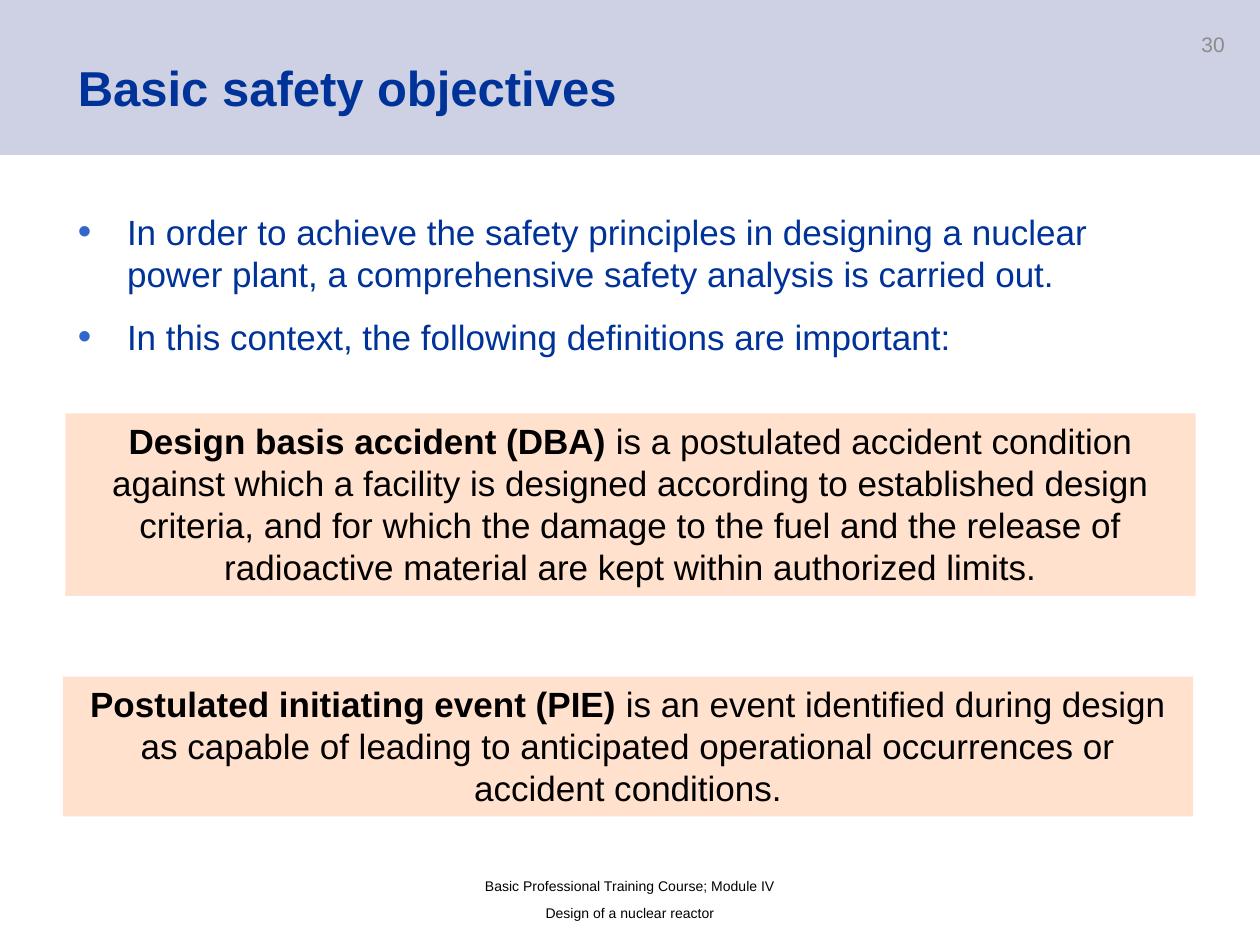
from dataclasses import dataclass

from lxml import etree
from pptx import Presentation
from pptx import util as u
from pptx.dml import color
from pptx.enum import shapes, text
from pptx.oxml import ns


@dataclass(frozen=True)
class Theme:
    font: str = "Arial"
    band: str = "CED1E4"
    navy: str = "003399"
    bullet: str = "3366CC"
    panel: str = "FFE1CD"
    black: str = "000000"
    grey: str = "8C8C8C"
    title_size: int = 28
    body_size: int = 20
    number_size: int = 12
    footer_size: int = 8


THEME = Theme()
ALIGN = text.PP_ALIGN
ANCHOR = text.MSO_ANCHOR


def style_runs(paragraph, size, ink, bold=False):
    for run in paragraph.runs:
        run.font.name = THEME.font
        run.font.size = u.Pt(size)
        run.font.bold = bold
        run.font.color.rgb = color.RGBColor.from_string(ink)


def add_panel(slide, box, fill):
    panel = slide.shapes.add_shape(
        shapes.MSO_SHAPE.RECTANGLE, *map(u.Inches, box))
    panel.shadow.inherit = False
    panel.fill.solid()
    panel.fill.fore_color.rgb = color.RGBColor.from_string(fill)
    panel.line.fill.background()
    return panel


def add_text(slide, box, lines, size, ink, align=ALIGN.LEFT,
             anchor=ANCHOR.TOP, bold=False):
    frame = slide.shapes.add_textbox(*map(u.Inches, box)).text_frame
    frame.word_wrap = True
    frame.vertical_anchor = anchor
    frame.text = "\n".join(lines)
    for paragraph in frame.paragraphs:
        paragraph.alignment = align
        style_runs(paragraph, size, ink, bold)
    return frame


def add_bullet(paragraph, indent):
    properties = paragraph._p.get_or_add_pPr()
    properties.set("marL", str(u.Inches(indent)))
    properties.set("indent", str(u.Inches(-indent)))
    bullet_color = etree.SubElement(properties, ns.qn("a:buClr"))
    etree.SubElement(bullet_color, ns.qn("a:srgbClr"), val=THEME.bullet)
    etree.SubElement(properties, ns.qn("a:buSzPct"), val="110000")
    etree.SubElement(properties, ns.qn("a:buFont"), typeface=THEME.font)
    etree.SubElement(properties, ns.qn("a:buChar"), char="•")


def add_header(slide, box, title, number):
    left, top, width, height = box
    add_panel(slide, box, THEME.band)
    heading = add_text(slide, (left + 0.52, top + 0.21, 8.97, height - 0.21),
                       [title], THEME.title_size, THEME.navy,
                       anchor=ANCHOR.MIDDLE, bold=True)
    heading.paragraphs[0].line_spacing = 0.9
    page = add_text(slide, (left + width - 0.88, top + 0.21, 0.64, 0.4),
                    [number], THEME.number_size, THEME.grey, ALIGN.RIGHT)
    page.margin_left = page.margin_right = u.Inches(0.04)
    page.margin_top = page.margin_bottom = u.Inches(0.04)


def add_body(slide, box, points):
    body = add_text(slide, box, points, THEME.body_size, THEME.navy)
    for paragraph in body.paragraphs:
        paragraph.space_before = paragraph.space_after = u.Pt(6)
        add_bullet(paragraph, 0.39)


def add_definition(slide, box, term, meaning):
    frame = add_panel(slide, box, THEME.panel).text_frame
    frame.word_wrap = True
    frame.auto_size = text.MSO_AUTO_SIZE.SHAPE_TO_FIT_TEXT
    frame.vertical_anchor = ANCHOR.TOP
    paragraph = frame.paragraphs[0]
    paragraph.text = term
    paragraph.add_run().text = meaning
    paragraph.alignment = ALIGN.CENTER
    style_runs(paragraph, THEME.body_size, THEME.black)
    paragraph.runs[0].font.bold = True


def add_footer(slide, box, lines):
    footer = add_text(slide, box, lines, THEME.footer_size, THEME.black,
                      ALIGN.CENTER, ANCHOR.MIDDLE)
    footer.paragraphs[-1].space_before = u.Pt(6)


def main():
    deck = Presentation()
    deck.slide_width, deck.slide_height = u.Inches(10), u.Inches(7.5)
    slide = deck.slides.add_slide(deck.slide_layouts[6])

    add_header(slide, (0, 0, 10, 1.23), "Basic safety objectives", "30")
    add_body(slide, (0.52, 1.62, 8.97, 1.45), [
        "In order to achieve the safety principles in designing a nuclear "
        "power plant, a comprehensive safety analysis is carried out.",
        "In this context, the following definitions are important:",
    ])
    add_definition(
        slide, (0.52, 3.28, 8.97, 1.45), "Design basis accident (DBA)",
        " is a postulated accident condition against which a facility is "
        "designed according to established design criteria, and for which "
        "the damage to the fuel and the release of radioactive material are "
        "kept within authorized limits.")
    add_definition(
        slide, (0.5, 5.37, 8.97, 1.11), "Postulated initiating event (PIE)",
        " is an event identified during design as capable of leading to "
        "anticipated operational occurrences or accident conditions.")
    add_footer(slide, (2.75, 6.94, 4.5, 0.4), [
        "Basic Professional Training Course; Module IV",
        "Design of a nuclear reactor",
    ])
    deck.save("out.pptx")


if __name__ == "__main__":
    main()
